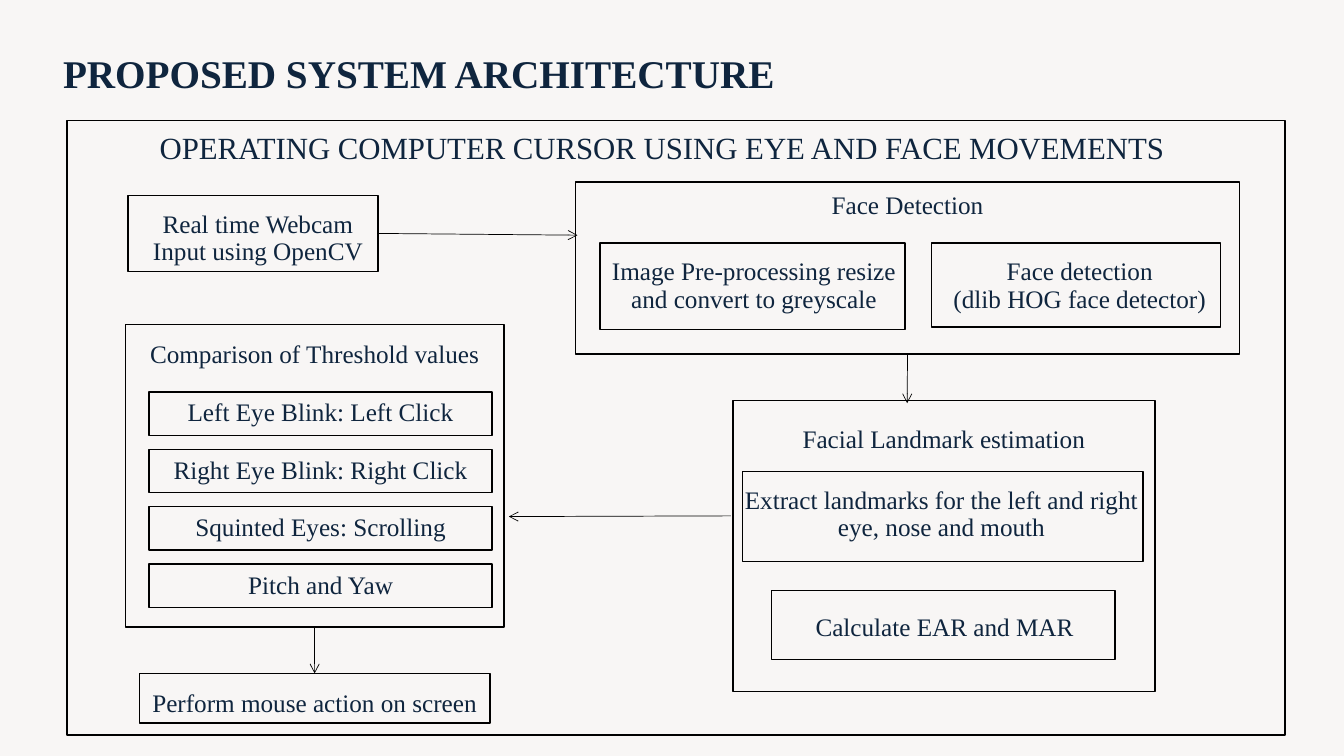
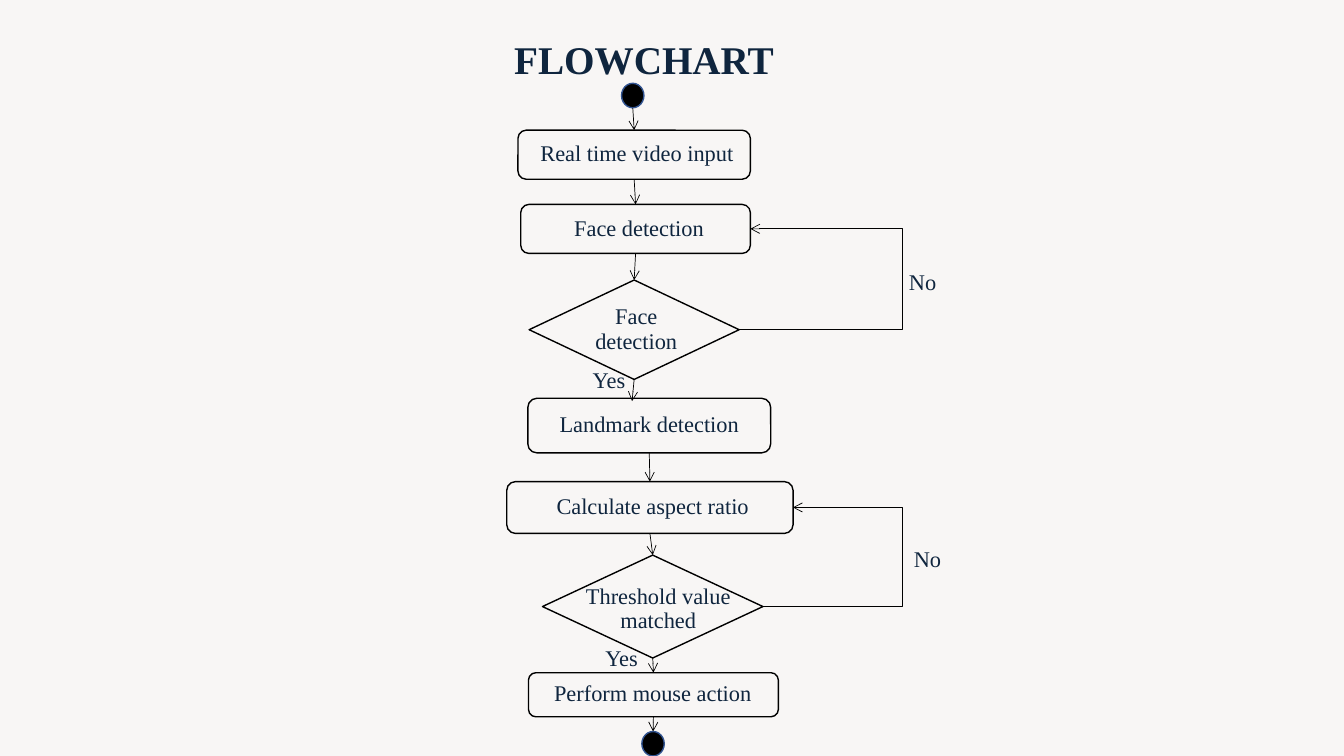
from lxml.etree import SubElement
from pptx import Presentation
from pptx.dml.color import RGBColor
from pptx.enum.shapes import MSO_CONNECTOR as CONNECTOR, MSO_SHAPE as SHAPE
from pptx.enum.text import MSO_ANCHOR as ANCHOR, PP_ALIGN as ALIGN
from pptx.oxml.ns import qn
from pptx.shapes.autoshape import Shape
from pptx.util import Pt

FONT = "Times New Roman"
NAVY, BLACK, BLUE, PAPER = "0F253E", "000000", "325491", "F8F6F5"
TOP, LEFT, BOTTOM, RIGHT = range(4)
TITLE_SIZE, SUBTITLE_SIZE, BOX_SIZE, FLOW_SIZE = 28, 22, 18, 16


def color(hex_string):
    return RGBColor.from_string(hex_string)


def write(shape, text, size, align=ALIGN.CENTER, anchor=ANCHOR.MIDDLE,
          bold=False, wrap=True, insets=(0, 0, 0, 0)):
    """Fill a shape with text; insets are left, top, right, bottom."""
    frame = shape.text_frame
    frame.text = text
    frame.word_wrap = wrap
    frame.vertical_anchor = anchor
    (frame.margin_left, frame.margin_top,
     frame.margin_right, frame.margin_bottom) = map(Pt, insets)
    for paragraph in frame.paragraphs:
        paragraph.alignment = align
        paragraph.line_spacing = 0.9
        for run in paragraph.runs:
            run.font.name = FONT
            run.font.size = Pt(size)
            run.font.bold = bold
            run.font.color.rgb = color(NAVY)


def add_text(slide, bounds, text, size, **style):
    write(slide.shapes.add_textbox(*map(Pt, bounds)), text, size, **style)


def add_outline(slide, bounds, kind=SHAPE.RECTANGLE, line=BLACK):
    shape = slide.shapes.add_shape(kind, *map(Pt, bounds))
    shape.shadow.inherit = False
    shape.fill.background()
    shape.line.color.rgb = color(line)
    shape.line.width = Pt(1)
    return shape


def add_box(slide, bounds, text, size=BOX_SIZE, kind=SHAPE.RECTANGLE, nudge=(0, 0)):
    """Outlined box whose centred text is moved right and down by nudge."""
    shape = add_outline(slide, bounds, kind)
    right, down = nudge
    insets = (max(2 * right, 0), max(2 * down, 0), max(-2 * right, 0), max(-2 * down, 0))
    write(shape, text, size, wrap=kind != SHAPE.FLOWCHART_DECISION, insets=insets)
    return shape


def add_group_box(slide, bounds, heading, heading_top):
    shape = add_outline(slide, bounds)
    write(shape, heading, BOX_SIZE, anchor=ANCHOR.TOP, insets=(0, heading_top, 0, 0))
    return shape


def add_dot(slide, left, top):
    dot = add_outline(slide, (left, top, 16, 17.5), SHAPE.OVAL, BLUE)
    dot.fill.solid()
    dot.fill.fore_color.rgb = color(BLACK)


def add_arrow(slide, start, end, turn_x=None):
    """Arrow between ends given as (x, y) or (shape, side); turn_x makes it an elbow."""
    kind = CONNECTOR.STRAIGHT if turn_x is None else CONNECTOR.ELBOW
    points = [(0, 0) if isinstance(place[0], Shape) else place for place in (start, end)]
    arrow = slide.shapes.add_connector(kind, *(Pt(value) for point in points for value in point))
    if isinstance(start[0], Shape):
        arrow.begin_connect(*start)
    if isinstance(end[0], Shape):
        arrow.end_connect(*end)
    arrow.line.color.rgb = color(BLACK)
    arrow.line.width = Pt(0.5)
    properties = arrow._element.spPr
    SubElement(properties.find(qn("a:ln")), qn("a:tailEnd"), type="arrow")
    SubElement(properties, qn("a:effectLst"))
    if turn_x is not None:
        ratio = (Pt(turn_x) - arrow.begin_x) / (arrow.end_x - arrow.begin_x)
        geometry = properties.find(qn("a:prstGeom"))
        guides = geometry.find(qn("a:avLst"))
        if guides is None:
            guides = SubElement(geometry, qn("a:avLst"))
        SubElement(guides, qn("a:gd"), name="adj1", fmla=f"val {round(ratio * 100000)}")


def new_slide(presentation, title, left, top, align):
    slide = presentation.slides.add_slide(presentation.slide_layouts[6])
    slide.background.fill.solid()
    slide.background.fill.fore_color.rgb = color(PAPER)
    add_text(slide, (left, top, 828, 88), title, TITLE_SIZE, align=align,
             bold=True, insets=(7.2, 3.6, 7.2, 3.6))
    return slide


def build_architecture(presentation):
    slide = new_slide(presentation, "PROPOSED SYSTEM ARCHITECTURE", 38, 10, ALIGN.LEFT)
    add_outline(slide, (48, 86, 870, 439))
    add_text(slide, (114, 63, 780, 88),
             "OPERATING COMPUTER CURSOR USING EYE AND FACE MOVEMENTS",
             SUBTITLE_SIZE, align=ALIGN.LEFT)

    webcam = add_box(slide, (91.5, 139.5, 178.5, 54.5),
                     "Real time Webcam\nInput using OpenCV", nudge=(3.5, 4))

    detection = add_group_box(slide, (411, 130, 474.5, 123), "Face Detection", 7.5)
    add_box(slide, (428.5, 173.5, 218, 62),
            "Image Pre-processing resize and convert to greyscale", nudge=(1, 0))
    add_box(slide, (665.5, 173.5, 206.5, 60),
            "Face detection\n(dlib HOG face detector)", nudge=(2.5, 1))

    add_group_box(slide, (523.5, 286, 301.5, 208), "Facial Landmark estimation", 18.5)
    add_box(slide, (530.5, 337, 286, 64),
            "Extract landmarks for the left and right eye, nose and mouth", nudge=(-1, -1))
    add_box(slide, (551, 422, 245.5, 49), "Calculate EAR and MAR", nudge=(1, 2))

    comparison = add_group_box(slide, (89.5, 232, 270.5, 216),
                               "Comparison of Threshold values", 12)
    gestures = ("Left Eye Blink: Left Click", "Right Eye Blink: Right Click",
                "Squinted Eyes: Scrolling", "Pitch and Yaw")
    for row, gesture in enumerate(gestures):
        add_box(slide, (106.5, 280 + 41 * row, 245, 31), gesture)
    action = add_box(slide, (99.5, 481, 250.5, 35.5),
                     "Perform mouse action on screen", nudge=(0, 4.5))

    add_arrow(slide, (webcam, RIGHT), (412.5, 168))
    add_arrow(slide, (detection, BOTTOM), (648, 288))
    add_arrow(slide, (522, 368.5), (363.5, 369))
    add_arrow(slide, (comparison, BOTTOM), (action, TOP))


def build_flowchart(presentation):
    slide = new_slide(presentation, "FLOWCHART", 46, 0, ALIGN.CENTER)
    rounded, process = SHAPE.ROUNDED_RECTANGLE, SHAPE.FLOWCHART_ALTERNATE_PROCESS
    decision = SHAPE.FLOWCHART_DECISION
    steps = [
        ("Real time video input", rounded, (370, 93, 166, 35), (2, 0)),
        ("Face detection", rounded, (372, 146, 164, 35), (2.5, 0)),
        ("Face\ndetection", decision, (378, 200, 150, 71), (1.5, 0)),
        ("Landmark detection", process, (377, 284.5, 173.5, 39), (0, 0)),
        ("Calculate aspect ratio", process, (362, 344, 204.5, 37), (2, 0)),
        ("Threshold value\nmatched", decision, (387.5, 396.5, 157.5, 73.5), (4, 2)),
        ("Perform mouse action", process, (377.5, 480.5, 178.5, 31.5), (-0.5, 0)),
    ]
    video, face, face_found, landmark, ratio, matched, action = [
        add_box(slide, bounds, text, FLOW_SIZE, kind, nudge)
        for text, kind, bounds, nudge in steps]
    add_dot(slide, 444, 59.5)
    add_dot(slide, 458.5, 522.5)

    add_arrow(slide, (452, 77), (video, TOP))
    for upper, lower in ((video, face), (face, face_found), (landmark, ratio),
                         (ratio, matched), (matched, action)):
        add_arrow(slide, (upper, BOTTOM), (lower, TOP))
    add_arrow(slide, (face_found, BOTTOM), (451.5, 286.5))
    add_arrow(slide, (action, BOTTOM), (466.5, 522.5))
    for check, retry in ((face_found, face), (matched, ratio)):
        add_arrow(slide, (check, RIGHT), (retry, RIGHT), turn_x=645)

    for answer, left, top in (("Yes", 415, 261.5), ("No", 639, 191),
                              ("Yes", 424, 460), ("No", 642.5, 389)):
        add_text(slide, (left, top, 40, 22), answer, FLOW_SIZE)


def main():
    presentation = Presentation()
    presentation.slide_width, presentation.slide_height = Pt(960), Pt(540)
    build_architecture(presentation)
    build_flowchart(presentation)
    presentation.save("out.pptx")


if __name__ == "__main__":
    main()
